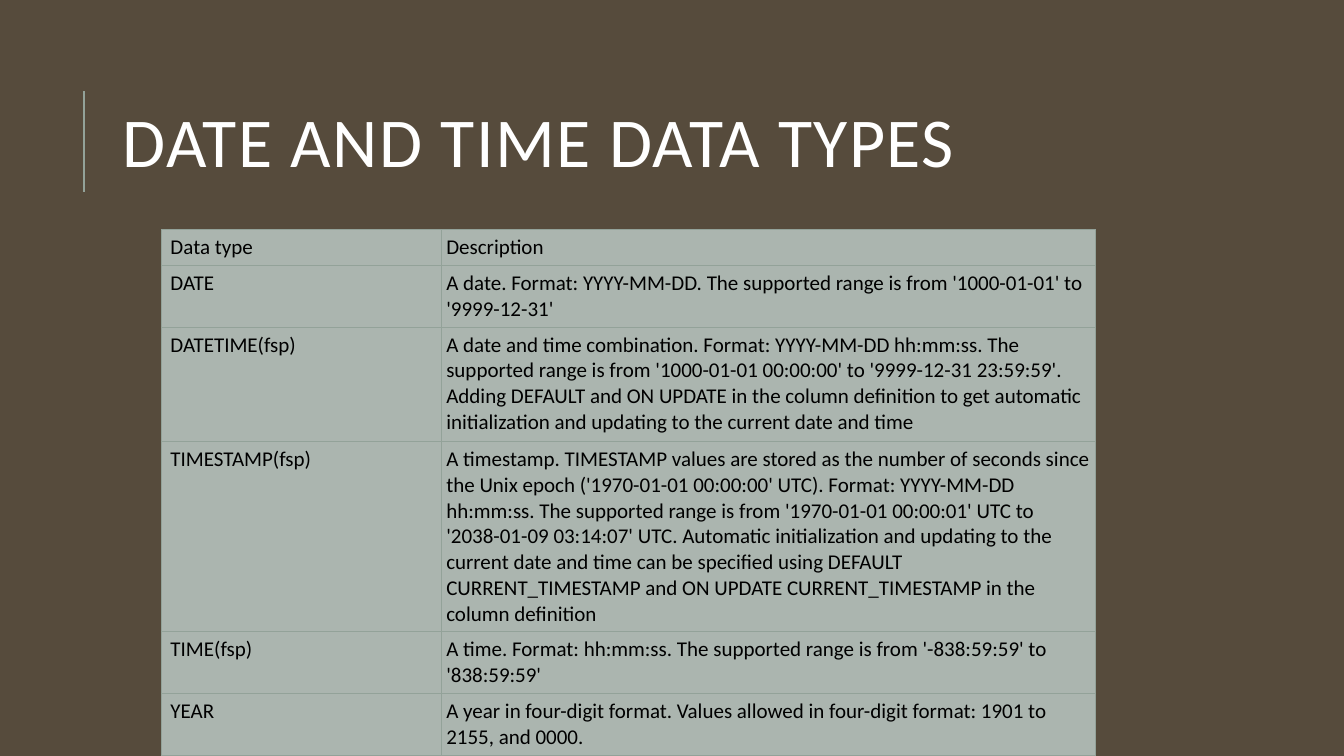
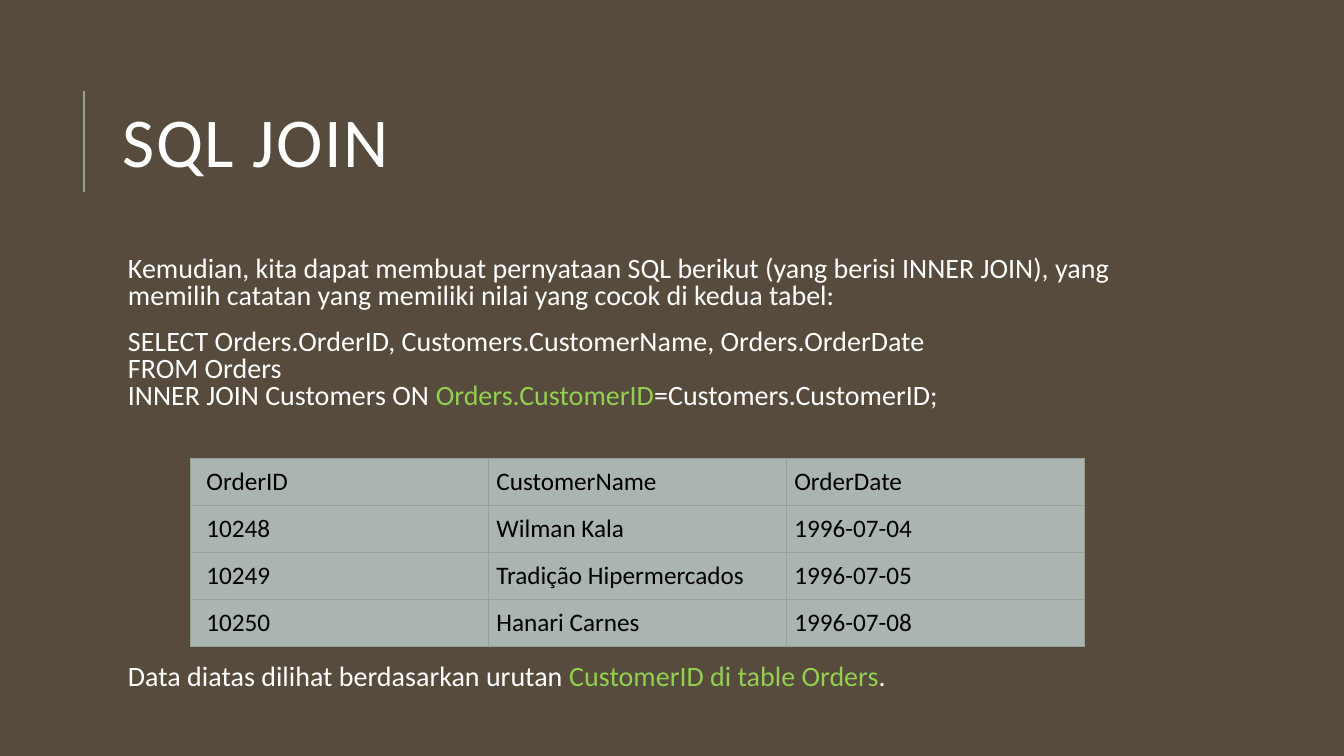
from collections import namedtuple

from lxml.etree import SubElement
from pptx import Presentation
from pptx.dml.color import RGBColor
from pptx.enum.shapes import MSO_CONNECTOR as Connector
from pptx.enum.text import MSO_ANCHOR as Anchor, MSO_AUTO_SIZE as AutoSize, PP_ALIGN as Align
from pptx.oxml.ns import qn
from pptx.util import Pt

Box = namedtuple("Box", "left top width height")

FONT = "Calibri"
BROWN, SAGE, PALE_SAGE = "564B3C", "93A299", "ABB5AF"
WHITE, BLACK, GREEN = "FFFFFF", "000000", "92D050"

TITLE_BOX = Box(80.6, 46, 765.4, 118)
BODY_BOX = Box(80.6, 180, 765.4, 317)
TYPES_BOX = Box(115.2, 164, 667.4, 373)
ORDERS_BOX = Box(136, 327.5, 638.4, 133.6)

DATE_TYPES = [
    ("Data type", "Description"),
    ("DATE", "A date. Format: YYYY-MM-DD. The supported range is from "
             "'1000-01-01' to '9999-12-31'"),
    ("DATETIME(fsp)",
     "A date and time combination. Format: YYYY-MM-DD hh:mm:ss. The supported range is from "
     "'1000-01-01 00:00:00' to '9999-12-31 23:59:59'. Adding DEFAULT and ON UPDATE in the "
     "column definition to get automatic initialization and updating to the current date and time"),
    ("TIMESTAMP(fsp)",
     "A timestamp. TIMESTAMP values are stored as the number of seconds since the Unix epoch "
     "('1970-01-01 00:00:00' UTC). Format: YYYY-MM-DD hh:mm:ss. The supported range is from "
     "'1970-01-01 00:00:01' UTC to '2038-01-09 03:14:07' UTC. Automatic initialization and "
     "updating to the current date and time can be specified using DEFAULT CURRENT_TIMESTAMP "
     "and ON UPDATE CURRENT_TIMESTAMP in the column definition"),
    ("TIME(fsp)", "A time. Format: hh:mm:ss. The supported range is from "
                  "'-838:59:59' to '838:59:59'"),
    ("YEAR", "A year in four-digit format. Values allowed in four-digit format: "
             "1901 to 2155, and 0000."),
]
ORDERS = [
    ("OrderID", "CustomerName", "OrderDate"),
    ("10248", "Wilman Kala", "1996-07-04"),
    ("10249", "Tradição Hipermercados", "1996-07-05"),
    ("10250", "Hanari Carnes", "1996-07-08"),
]
JOIN_TEXT = [
    (12, [[("Kemudian, kita dapat membuat pernyataan SQL berikut (yang berisi INNER JOIN), "
            "yang memilih catatan yang memiliki nilai yang cocok di kedua tabel:", WHITE)]]),
    (12, [[("SELECT Orders.OrderID, Customers.CustomerName, Orders.OrderDate", WHITE)],
          [("FROM Orders", WHITE)],
          [("INNER JOIN Customers ON ", WHITE), ("Orders.CustomerID", GREEN),
           ("=Customers.CustomerID;", WHITE)]]),
    (179, [[("Data diatas dilihat berdasarkan urutan ", WHITE),
            ("CustomerID di table Orders", GREEN), (".", WHITE)]]),
]


def color(value):
    """Turn a hex string into a colour."""
    return RGBColor.from_string(value)


def set_font(font, size, value):
    """Give a font the deck's typeface with a size and colour."""
    font.name, font.size = FONT, Pt(size)
    font.color.rgb = color(value)


def place(shape, box):
    """Move and size a shape to fill a box."""
    shape.left, shape.top, shape.width, shape.height = map(Pt, box)


def add_title(page, text, box):
    """Fill the title placeholder and draw the rule to its left."""
    title = page.shapes.title
    place(title, box)
    frame = title.text_frame
    frame.text = text
    frame.auto_size = AutoSize.NONE
    frame.vertical_anchor = Anchor.MIDDLE
    para = frame.paragraphs[0]
    para.alignment, para.line_spacing = Align.LEFT, 0.8
    set_font(para.font, 50, WHITE)
    para.runs[0]._r.get_or_add_rPr().set("spc", "100")

    x, top = Pt(box.left - 20.6), box.top + 19
    rule = page.shapes.add_connector(Connector.STRAIGHT, x, Pt(top + 72), x, Pt(top))
    rule.line.color.rgb, rule.line.width = color(SAGE), Pt(1.5)
    SubElement(rule._element.spPr, qn("a:effectLst"))


def add_body(page, paragraphs, box):
    """Fill the body placeholder with spaced paragraphs of coloured spans."""
    body = page.placeholders[1]
    place(body, box)
    frame = body.text_frame
    frame.auto_size = AutoSize.NONE
    frame.margin_left = frame.margin_right = frame.margin_top = frame.margin_bottom = Pt(3.6)
    for index, (space, lines) in enumerate(paragraphs):
        para = frame.add_paragraph() if index else frame.paragraphs[0]
        para.line_spacing, para.space_before, para.space_after = 0.8, Pt(space), Pt(2)
        set_font(para.font, 20, WHITE)
        props = para._p.get_or_add_pPr()
        props.set("marL", str(Pt(7.2)))
        props.set("indent", "0")
        props.insert_element_before(props.makeelement(qn("a:buNone"), {}), "a:defRPr")
        for number, spans in enumerate(lines):
            if number:
                para.add_line_break()
            for text, value in spans:
                span = para.add_run()
                span.text = text
                if value != WHITE:
                    span.font.color.rgb = color(value)


def add_borders(cell):
    """Draw a thin line on all four sides of a cell."""
    props = cell._tc.get_or_add_tcPr()
    for side in ("a:lnL", "a:lnR", "a:lnT", "a:lnB"):
        line = SubElement(props, qn(side), w=str(Pt(0.75)))
        fill = SubElement(line, qn("a:solidFill"))
        SubElement(fill, qn("a:srgbClr"), val=SAGE)


def add_grid(page, rows, box, widths, heights, size, inset, first_inset):
    """Add a plain table whose first column has a wider left inset."""
    table = page.shapes.add_table(len(rows), len(widths), *map(Pt, box)).table
    table.first_row = table.horz_banding = False
    for column, width in zip(table.columns, widths):
        column.width = Pt(width)
    for row, height, texts in zip(table.rows, heights, rows):
        row.height = Pt(height)
        for index, (cell, text) in enumerate(zip(row.cells, texts)):
            cell.margin_left = Pt(inset if index else first_inset)
            cell.margin_right = cell.margin_top = cell.margin_bottom = Pt(inset)
            add_borders(cell)
            cell.fill.solid()
            cell.fill.fore_color.rgb = color(PALE_SAGE)
            cell.text = text
            set_font(cell.text_frame.paragraphs[0].font, size, BLACK)


def add_types_slide(deck):
    """Build the slide of date and time types."""
    page = deck.slides.add_slide(deck.slide_layouts[5])
    add_title(page, "DATE AND TIME DATA TYPES", TITLE_BOX)
    widths = (200, TYPES_BOX.width - 200)
    add_grid(page, DATE_TYPES, TYPES_BOX, widths, (25, 43.4, 82, 135.8, 43.4, 43.4), 15, 3.6, 6.6)


def add_join_slide(deck):
    """Build the slide of the join query and its result."""
    page = deck.slides.add_slide(deck.slide_layouts[1])
    add_title(page, "SQL JOIN", TITLE_BOX)
    add_body(page, JOIN_TEXT, BODY_BOX)
    widths = [ORDERS_BOX.width / 3] * 3
    heights = [ORDERS_BOX.height / len(ORDERS)] * len(ORDERS)
    add_grid(page, ORDERS, ORDERS_BOX, widths, heights, 18, 5.8, 11.5)


def main():
    """Build and save the deck."""
    deck = Presentation()
    deck.slide_width, deck.slide_height = Pt(960), Pt(540)
    background = deck.slide_master.background.fill
    background.solid()
    background.fore_color.rgb = color(BROWN)
    add_types_slide(deck)
    add_join_slide(deck)
    deck.save("out.pptx")


if __name__ == "__main__":
    main()
